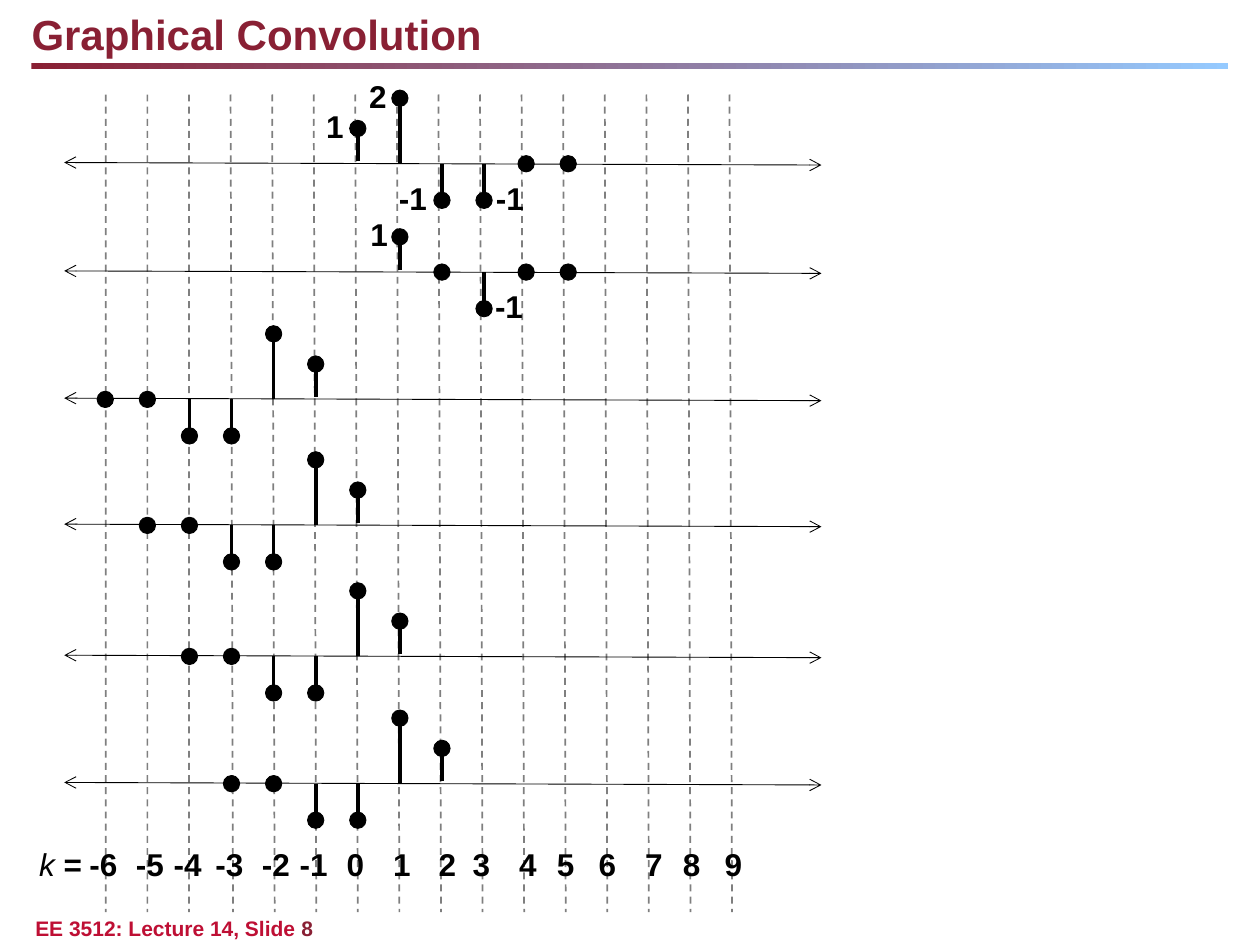
from dataclasses import dataclass

import pptx
import pptx.dml.color
import pptx.enum.dml
import pptx.enum.shapes
import pptx.enum.text
import pptx.oxml.ns
import pptx.util
from lxml import etree

WIDTH, HEIGHT = 10, 7.5
COLORS = {"ink": "000000", "maroon": "892034", "sky": "95CAFF", "red": "BE0F34"}
FIRST_K, LAST_K = -6, 9
COLUMN = 0.33  # width of one grid column in inches
GRID_ORIGIN = 2.82
SAMPLE_ORIGIN = 2.84
DOT = 0.13
LABEL_WIDTH, LABEL_HEIGHT = 0.4, 0.3
DOT_RISE = {2: 0.52, 1: 0.28, 0: 0, -1: -0.29}
STEM_RISE = {2: (0, 0.5), 1: (0.02, 0.27), -1: (0, -0.25)}
TICK_STOPS = (0.51, 0.88, 1.18, 1.51, 1.88, 2.18, 2.51, 2.88,
              3.24, 3.51, 3.88, 4.18, 4.51, 4.88, 5.18, 5.51)
TEXT_FRAME = {
    "margin_left": 0, "margin_right": 0, "margin_top": 0, "margin_bottom": 0,
    "word_wrap": True,
    "auto_size": pptx.enum.text.MSO_AUTO_SIZE.NONE,
    "vertical_anchor": pptx.enum.text.MSO_ANCHOR.TOP,
}


@dataclass
class Sample:
    k: int
    value: int
    label_shift: float = 0  # in columns from the dot; 0 means no label


@dataclass
class Signal:
    axis_y: float
    samples: list[Sample]


@dataclass
class Span:
    text: str
    size: int = 18
    color: str = "ink"
    bold: bool = True
    italic: bool = False


def rgb(name: str):
    return pptx.dml.color.RGBColor.from_string(COLORS[name])


def inches(*lengths: float) -> list:
    return [pptx.util.Inches(length) for length in lengths]


def write(box, spans: list[Span], align=pptx.enum.text.PP_ALIGN.LEFT):
    """Fill a box with one formatted paragraph and return the paragraph."""
    for name, value in TEXT_FRAME.items():
        setattr(box.text_frame, name, value)
    para = box.text_frame.paragraphs[0]
    para.alignment = align
    for span in spans:
        run = para.add_run()
        run.text = span.text
        formats = {"name": "Arial", "size": pptx.util.Pt(span.size),
                   "bold": span.bold, "italic": span.italic}
        for name, value in formats.items():
            setattr(run.font, name, value)
        run.font.color.rgb = rgb(span.color)
    return para


def add_line(page, start: tuple, end: tuple, weight: float):
    line = page.shapes.add_connector(
        pptx.enum.shapes.MSO_CONNECTOR.STRAIGHT, *inches(*start, *end))
    line.line.color.rgb = rgb("ink")
    line.line.width = pptx.util.Pt(weight)
    etree.SubElement(line._element.spPr, pptx.oxml.ns.qn("a:effectLst"))
    return line


def add_grid_line(page, k: int) -> None:
    x = GRID_ORIGIN + k * COLUMN
    slant = 0.02 if k >= -3 else 0
    line = add_line(page, (x, HEIGHT * 0.1), (x + slant, 7.24), 1)
    line.line.dash_style = pptx.enum.dml.MSO_LINE.DASH
    color = line.line._ln.find(".//" + pptx.oxml.ns.qn("a:srgbClr"))
    etree.SubElement(color, pptx.oxml.ns.qn("a:alpha"), val="50000")


def add_axis(page, y: float) -> None:
    line = add_line(page, (0.51, y - 0.01), (6.52, y + 0.01), 0.5)
    for end in ("headEnd", "tailEnd"):
        etree.SubElement(line.line._ln, pptx.oxml.ns.qn("a:" + end), type="arrow")


def add_sample(page, sample: Sample, axis_y: float) -> None:
    x = SAMPLE_ORIGIN + sample.k * (COLUMN + 0.004)
    y = axis_y - DOT_RISE[sample.value]
    if sample.value in STEM_RISE:
        base, tip = STEM_RISE[sample.value]
        add_line(page, (x, axis_y - base), (x, axis_y - tip), 2)
    dot = page.shapes.add_shape(
        pptx.enum.shapes.MSO_SHAPE.OVAL, *inches(x - DOT / 2, y - DOT / 2, DOT, DOT))
    dot.shadow.inherit = False
    dot.fill.solid()
    dot.fill.fore_color.rgb = rgb("ink")
    dot.line.color.rgb = rgb("ink")
    dot.line.width = pptx.util.Pt(0.5)
    if sample.label_shift:
        center = x + sample.label_shift * COLUMN
        box = page.shapes.add_textbox(*inches(
            center - LABEL_WIDTH / 2, y - 0.02 - LABEL_HEIGHT / 2,
            LABEL_WIDTH, LABEL_HEIGHT))
        write(box, [Span(str(sample.value))], pptx.enum.text.PP_ALIGN.CENTER)


def add_heading(page) -> None:
    bar = page.shapes.add_shape(
        pptx.enum.shapes.MSO_SHAPE.RECTANGLE, *inches(0.25, 0.5, WIDTH * 0.95, 0.05))
    bar.shadow.inherit = False
    bar.line.fill.background()
    bar.fill.gradient()
    bar.fill.gradient_angle = 0
    for stop, name in zip(bar.fill.gradient_stops, ("maroon", "sky")):
        stop.color.rgb = rgb(name)
    title = page.shapes.title
    title.left, title.top, title.width, title.height = inches(0.25, 0.11, 9.46, 0.36)
    write(title, [Span("Graphical Convolution", 24, "maroon")]).line_spacing = 0.9


def add_tick_labels(page) -> None:
    box = page.shapes.add_textbox(*inches(0.31, 6.71, 6.78, 0.3))
    ticks = "".join(f"\t{k}" for k in range(FIRST_K, LAST_K + 1))
    para = write(box, [Span("k ", bold=False, italic=True), Span("=" + ticks)])
    stops = etree.SubElement(para._p.get_or_add_pPr(), pptx.oxml.ns.qn("a:tabLst"))
    for stop in TICK_STOPS:
        etree.SubElement(stops, pptx.oxml.ns.qn("a:tab"),
                         pos=str(pptx.util.Inches(stop)), algn="ctr")


def reflected(shift: int) -> list[Sample]:
    """The first signal, reversed in time and moved right by shift."""
    return [Sample(shift - n, value) for n, value in enumerate((1, 2, -1, -1, 0, 0))]


SIGNALS = [
    Signal(1.3, [Sample(0, 1, -0.55), Sample(1, 2, -0.53), Sample(2, -1, -0.7),
                 Sample(3, -1, 0.62), Sample(4, 0), Sample(5, 0)]),
    Signal(2.16, [Sample(1, 1, -0.5), Sample(2, 0), Sample(3, -1, 0.6),
                  Sample(4, 0), Sample(5, 0)]),
    *[Signal(axis_y, reflected(shift))
      for shift, axis_y in enumerate((3.17, 4.17, 5.21, 6.22), start=-1)],
]


def main() -> None:
    deck = pptx.Presentation()
    deck.slide_width, deck.slide_height = inches(WIDTH, HEIGHT)
    page = deck.slides.add_slide(deck.slide_layouts.get_by_name("Title Only"))
    add_heading(page)
    footer = page.shapes.add_textbox(*inches(0.28, 7.27, 8.92, 0.2))
    write(footer, [Span("EE 3512: Lecture 14, Slide ", 12, "red"),
                   Span("8", 12, "maroon")])
    for k in range(FIRST_K, LAST_K + 1):
        add_grid_line(page, k)
    for signal in SIGNALS:
        add_axis(page, signal.axis_y)
        for sample in signal.samples:
            add_sample(page, sample, signal.axis_y)
    add_tick_labels(page)
    deck.save("out.pptx")


if __name__ == "__main__":
    main()
